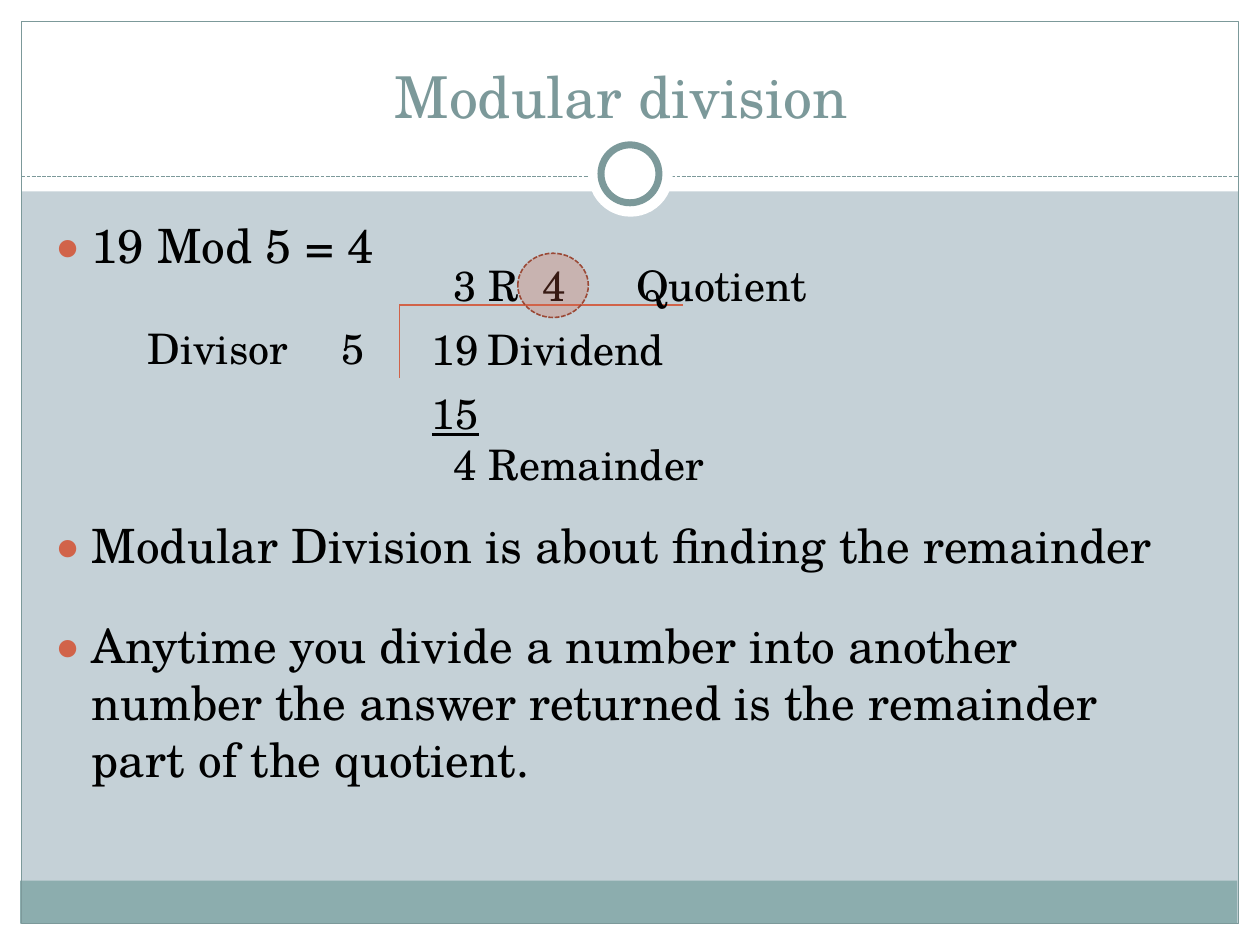
import pptx
import pptx.util
import pptx.dml.color
import pptx.enum.dml
import pptx.enum.shapes
import pptx.enum.text
import pptx.oxml.ns
import lxml.etree

Inches, Pt = pptx.util.Inches, pptx.util.Pt
SHAPE = pptx.enum.shapes.MSO_SHAPE
ALIGN = pptx.enum.text.PP_ALIGN
DASH = pptx.enum.dml.MSO_LINE.SQUARE_DOT
FONT = "TeX Gyre Schola"
WHITE, TEAL, ORANGE, BLACK = "FFFFFF", "7C999A", "D16349", "000000"


def color(value):
    return pptx.dml.color.RGBColor.from_string(value)


def sub(parent, tag, **attrs):
    return lxml.etree.SubElement(parent, pptx.oxml.ns.qn(tag), attrs)


prs = pptx.Presentation()
prs.slide_width, prs.slide_height = Inches(10), Inches(7.5)
s = prs.slides.add_slide(prs.slide_layouts[5])
s.background.fill.solid()
s.background.fill.fore_color.rgb = color("C5D1D7")

shapes = [
    (SHAPE.RECTANGLE, 0, 7.33, 10, 0.17, WHITE, None, 0),
    (SHAPE.RECTANGLE, 0, 0, 10, 1.52, WHITE, None, 0),
    (SHAPE.RECTANGLE, 0, 0, 0.17, 7.5, WHITE, None, 0),
    (SHAPE.RECTANGLE, 9.83, 0, 0.17, 7.5, WHITE, None, 0),
    (SHAPE.RECTANGLE, 0.16, 6.99, 9.66, 0.34, "8CADAE", None, 0),
    (SHAPE.RECTANGLE, 0.17, 0.17, 9.66, 7.16, None, TEAL, 0.75),
    ("line", 0.17, 1.4, 9.83, 1.4, None, TEAL, 0.75),
    (SHAPE.OVAL, 4.67, 1.05, 0.67, 0.67, WHITE, None, 0),
    (SHAPE.OVAL, 4.77, 1.15, 0.46, 0.46, WHITE, TEAL, 4),
    ("line", 3.17, 2.42, 3.17, 3, None, ORANGE, 0.75),
    ("line", 3.17, 2.42, 5.42, 2.42, None, ORANGE, 0.75),
    (SHAPE.OVAL, 4.11, 2.01, 0.56, 0.51, ORANGE, "9B4936", 0.9),
]
for kind, x, y, w, h, fill, line, width in shapes:
    box = [Inches(v) for v in (x, y, w, h)]
    if kind == "line":
        sp = s.shapes.add_connector(pptx.enum.shapes.MSO_CONNECTOR.STRAIGHT, *box)
    else:
        sp = s.shapes.add_shape(kind, *box)
        sp.shadow.inherit = False
        if fill:
            sp.fill.solid()
            sp.fill.fore_color.rgb = color(fill)
        else:
            sp.fill.background()
    if line:
        sp.line.color.rgb = color(line)
        sp.line.width = Pt(width)
    else:
        sp.line.fill.background()
    if kind == "line":
        sub(sp.element.spPr, "a:effectLst")
        if line == TEAL:
            sp.line.dash_style = DASH

remainder_ring = sp
remainder_ring.line.dash_style = DASH
ring_color = remainder_ring.element.spPr.find(".//" + pptx.oxml.ns.qn("a:srgbClr"))
sub(ring_color, "a:alpha", val="27000")

title = s.shapes.title
title.left, title.top = Inches(0.33), Inches(0.25)
title.width, title.height = Inches(9.33), Inches(0.83)
tf = title.text_frame
tf.auto_size = pptx.enum.text.MSO_AUTO_SIZE.NONE
tf.vertical_anchor = pptx.enum.text.MSO_ANCHOR.BOTTOM
p = tf.paragraphs[0]
p.alignment = ALIGN.CENTER
r = p.add_run()
r.text = "Modular division "
r.font.name, r.font.size = FONT, Pt(33)
r.font.color.rgb = color(TEAL)
title.element.getparent().append(title.element)

tf = s.shapes.add_textbox(Inches(0.33), Inches(1.67), Inches(9.3), Inches(5)).text_frame
tf.word_wrap = True
bullets = [
    ("19 Mod 5 = 4", 5.4),
    ("Modular Division is about finding the remainder", 139),
    ("Anytime you divide a number into another number "
     "the answer returned is the remainder part of the quotient.", 24.6),
]
for i, (text, gap) in enumerate(bullets):
    p = tf.add_paragraph() if i else tf.paragraphs[0]
    p.space_before = Pt(gap)
    pPr = p._p.get_or_add_pPr()
    pPr.set("marL", str(Inches(0.3)))
    pPr.set("indent", str(Inches(-0.3)))
    sub(sub(pPr, "a:buClr"), "a:srgbClr", val=ORANGE)
    sub(pPr, "a:buSzPct", val="85000")
    sub(pPr, "a:buFont", typeface=FONT)
    sub(pPr, "a:buChar", char="●")
    r = p.add_run()
    r.text = text
    r.font.name, r.font.size = FONT, Pt(27)
    r.font.color.rgb = color(BLACK)

labels = [
    (0.83, 2.51, 2.17, 0.34, [1.54], [("Divisor\t5", 24)]),
    (3.33, 2.52, 2.25, 0.1, [], [("19", 24), (" ", 18), ("Dividend", 24)]),
    (3.5, 2.01, 3.33, 0.1, [0.71, 1.45], [("3 R\t4\tQuotient", 24)]),
    (3.33, 3.03, 2.25, 0.1, [], [("15", 24)]),
    (3.5, 3.43, 3.08, 0.1, [], [("4 Remainder", 24)]),
]
for x, y, w, margin, stops, runs in labels:
    tf = s.shapes.add_textbox(Inches(x), Inches(y), Inches(w), Inches(0.5)).text_frame
    tf.word_wrap = True
    tf.margin_left = Inches(margin)
    p = tf.paragraphs[0]
    if stops:
        tabs = sub(p._p.get_or_add_pPr(), "a:tabLst")
        for stop in stops:
            sub(tabs, "a:tab", pos=str(Inches(stop)), algn="l")
    for text, size in runs:
        r = p.add_run()
        r.text = text
        r.font.name, r.font.size = FONT, Pt(size)
        r.font.color.rgb = color(BLACK)
        r.font.underline = text == "15"

ring = remainder_ring.element
ring.getparent().append(ring)
prs.save("out.pptx")
